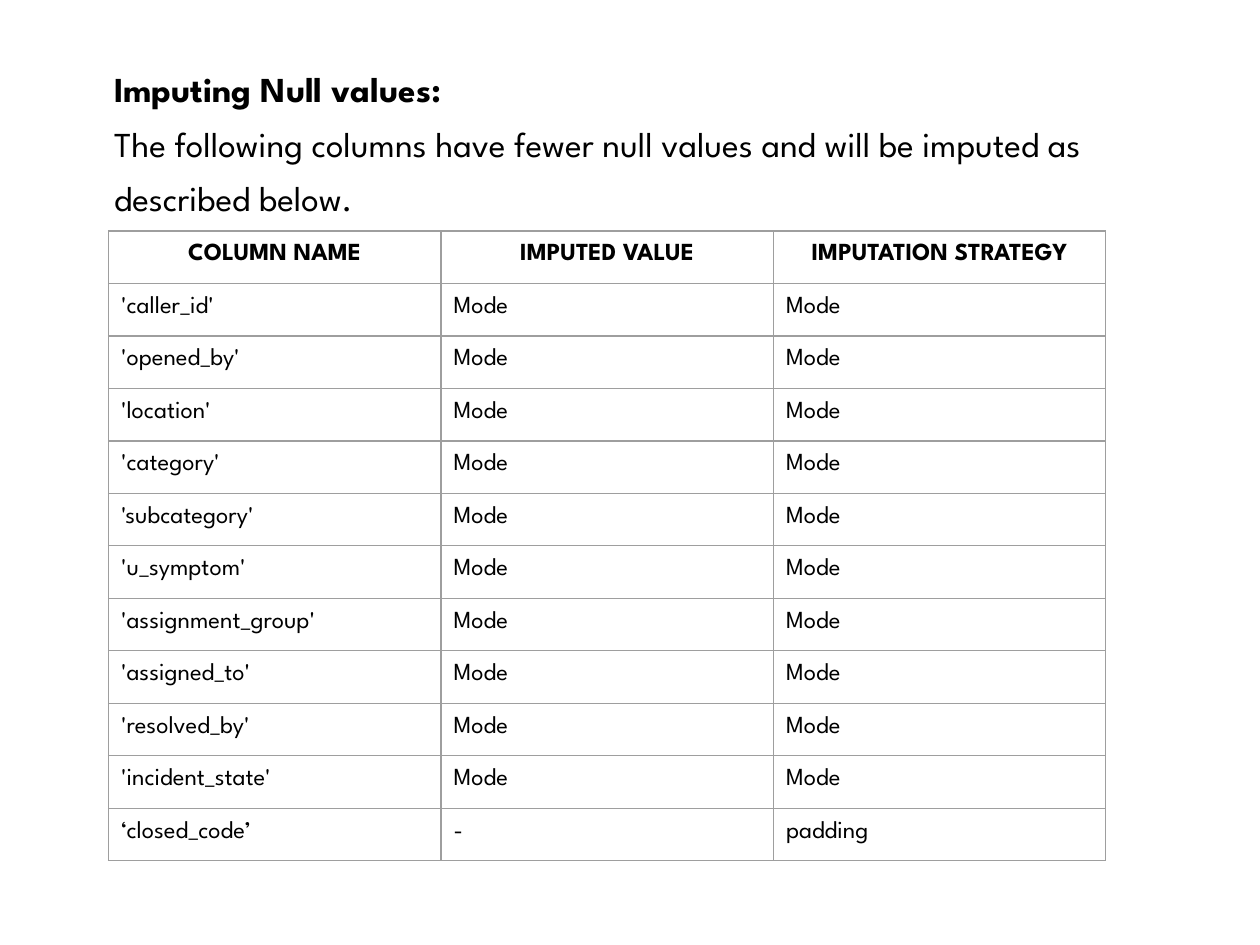
from dataclasses import dataclass

from lxml.etree import SubElement
from pptx import Presentation
from pptx.dml.color import RGBColor
from pptx.enum.text import MSO_ANCHOR, MSO_AUTO_SIZE, PP_ALIGN
from pptx.oxml.ns import qn
from pptx.util import Pt

# Content
HEADING = "Imputing Null values:"
DESCRIPTION = (
    "The following columns have fewer null values and will be imputed as "
    "described below."
)
HEADERS = ("COLUMN NAME", "IMPUTED VALUE", "IMPUTATION STRATEGY")
MODE_COLUMNS = (
    "caller_id", "opened_by", "location", "category", "subcategory",
    "u_symptom", "assignment_group", "assigned_to", "resolved_by",
    "incident_state",
)
ROWS = [
    HEADERS,
    *((f"'{name}'", "Mode", "Mode") for name in MODE_COLUMNS),
    ("‘closed_code’", "-", "padding"),
]


@dataclass(frozen=True)
class Theme:
    font: str = "League Spartan"
    text: RGBColor = RGBColor(0x00, 0x00, 0x00)
    border: RGBColor = RGBColor(0x9E, 0x9E, 0x9E)
    border_width: int = Pt(0.75)
    title_size: int = Pt(20)
    table_size: int = Pt(14)
    inset: int = Pt(7.2)


THEME = Theme()

# Layout
SLIDE_SIZE = Pt(720), Pt(540)
TITLE_BOX = Pt(58), Pt(24.3), Pt(578), Pt(87)
TABLE_LEFT, TABLE_TOP = Pt(62), Pt(132)
COLUMN_WIDTH, ROW_HEIGHT = Pt(190), Pt(30)


def format_paragraph(paragraph, size, bold, alignment=PP_ALIGN.LEFT):
    paragraph.alignment = alignment
    font = paragraph.font
    font.name, font.size, font.bold = THEME.font, size, bold
    font.color.rgb = THEME.text


def set_insets(target):
    target.margin_left = target.margin_right = THEME.inset
    target.margin_top = target.margin_bottom = THEME.inset


def add_borders(cell):
    properties = cell._tc.get_or_add_tcPr()
    for side in ("a:lnL", "a:lnR", "a:lnT", "a:lnB"):
        line = SubElement(properties, qn(side), w=str(THEME.border_width))
        fill = SubElement(line, qn("a:solidFill"))
        SubElement(fill, qn("a:srgbClr"), val=str(THEME.border))


def add_title(slide):
    title = slide.shapes.title
    title.left, title.top, title.width, title.height = TITLE_BOX
    frame = title.text_frame
    frame.word_wrap = True
    frame.auto_size = MSO_AUTO_SIZE.NONE
    frame.vertical_anchor = MSO_ANCHOR.TOP
    set_insets(frame)
    frame.text = f"{HEADING}\n{DESCRIPTION}"
    for paragraph, bold in zip(frame.paragraphs, (True, False)):
        format_paragraph(paragraph, THEME.title_size, bold)
        paragraph.line_spacing = 1.3


def add_imputation_table(slide):
    table = slide.shapes.add_table(
        len(ROWS), len(HEADERS), TABLE_LEFT, TABLE_TOP,
        COLUMN_WIDTH * len(HEADERS), ROW_HEIGHT * len(ROWS),
    ).table
    table.first_row = table.horz_banding = False
    for row_index, values in enumerate(ROWS):
        is_header = row_index == 0
        alignment = PP_ALIGN.CENTER if is_header else PP_ALIGN.LEFT
        for column_index, value in enumerate(values):
            cell = table.cell(row_index, column_index)
            cell.text = value
            set_insets(cell)
            add_borders(cell)
            cell.fill.background()
            format_paragraph(cell.text_frame.paragraphs[0],
                             THEME.table_size, is_header, alignment)


def main():
    presentation = Presentation()
    presentation.slide_width, presentation.slide_height = SLIDE_SIZE
    title_only = presentation.slide_layouts.get_by_name("Title Only")
    slide = presentation.slides.add_slide(title_only)
    add_title(slide)
    add_imputation_table(slide)
    presentation.save("out.pptx")


if __name__ == "__main__":
    main()
